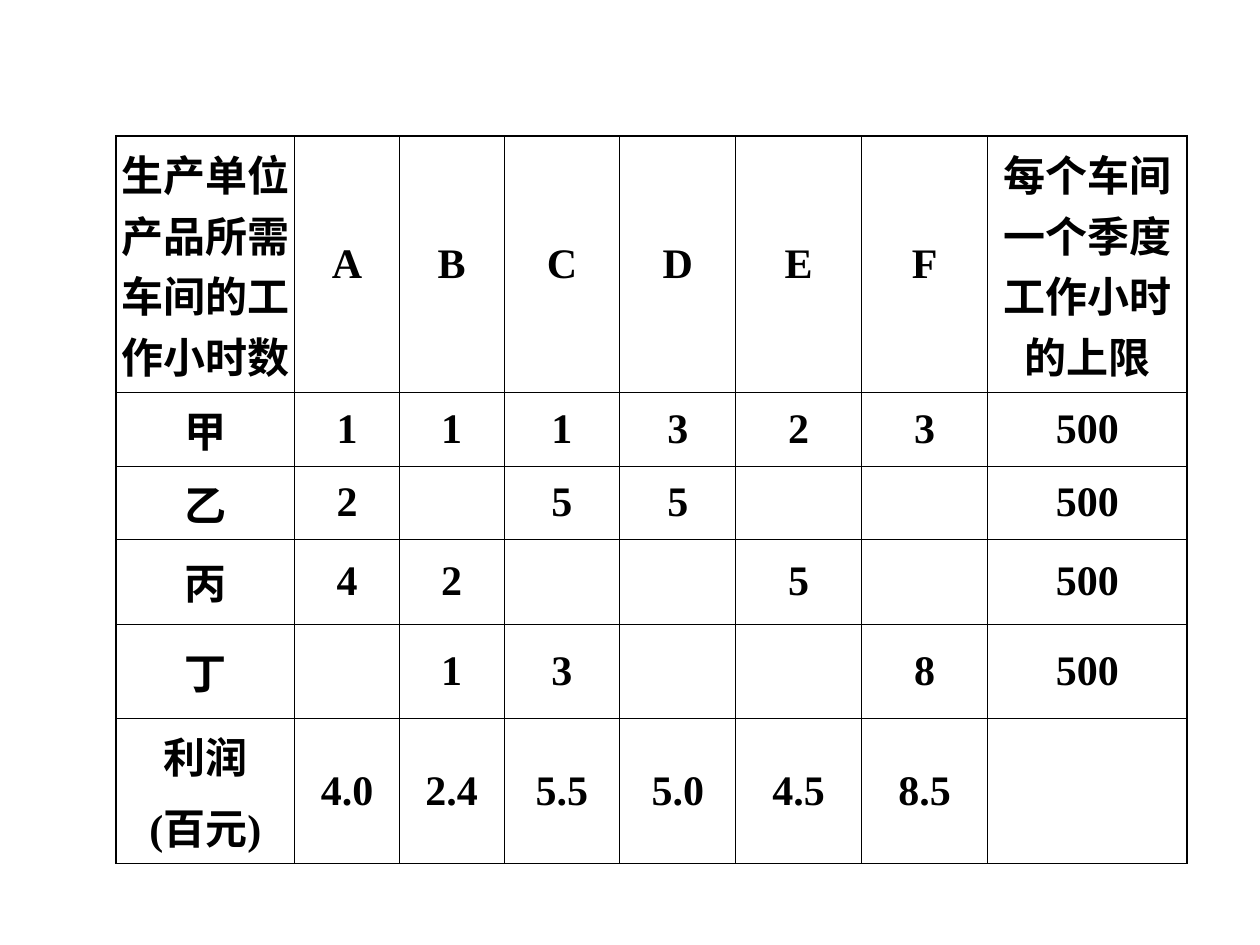
from lxml import etree
from pptx import Presentation
from pptx import util as u
from pptx.dml.color import RGBColor
from pptx.enum import text
from pptx.oxml import ns

BLACK = RGBColor(0, 0, 0)
INNER_LINE, OUTER_LINE = u.Pt(0.45), u.Pt(1.08)

COLUMN_WIDTHS = [1.42, 0.83, 0.83, 0.92, 0.92, 1, 1, 1.58]
ROW_HEIGHTS = [1.92, 0.55, 0.58, 0.67, 0.75, 1.03]
WORKSHOP_HOURS = [
    ["生产单位产品所需车间的工作小时数", *"ABCDEF", "每个车间一个季度工作小时的上限"],
    ["甲", "1", "1", "1", "3", "2", "3", "500"],
    ["乙", "2", "", "5", "5", "", "", "500"],
    ["丙", "4", "2", "", "", "5", "", "500"],
    ["丁", "", "1", "3", "", "", "8", "500"],
    ["利润\n(百元)", "4.0", "2.4", "5.5", "5.0", "4.5", "8.5", ""],
]


def write(frame, content, size=24, bold=True, color=BLACK, name="Times New Roman",
          align=text.PP_ALIGN.CENTER, gap=6):
    """Fill a text frame, one paragraph per line, with gap points between them."""
    frame.text = content
    for index, paragraph in enumerate(frame.paragraphs):
        paragraph.alignment = align
        if index:
            paragraph.space_before = u.Pt(gap)
        for run in paragraph.runs:
            run.font.size = u.Pt(size)
            run.font.bold = bold
            run.font.name = name
            run.font.color.rgb = color


def set_borders(cell, widths):
    """Draw cell borders; widths are in the order left, right, top, bottom."""
    properties = cell._tc.get_or_add_tcPr()
    for position, (side, width) in enumerate(zip("LRTB", widths)):
        line = etree.Element(ns.qn(f"a:ln{side}"), w=str(int(width)))
        fill = etree.SubElement(line, ns.qn("a:solidFill"))
        etree.SubElement(fill, ns.qn("a:srgbClr"), val=str(BLACK))
        properties.insert(position, line)


class SlideBuilder:
    def __init__(self, slide, side_margin=0.02, end_margin=0.05):
        self.slide = slide
        self.side_margin = u.Inches(side_margin)
        self.end_margin = u.Inches(end_margin)

    def table(self, left, top, widths, heights, rows):
        table = self.slide.shapes.add_table(
            len(heights), len(widths), u.Inches(left), u.Inches(top),
            u.Inches(sum(widths)), u.Inches(sum(heights))).table
        table.first_row = table.horz_banding = False
        for column, width in zip(table.columns, widths):
            column.width = u.Inches(width)
        for row, height in zip(table.rows, heights):
            row.height = u.Inches(height)
        last_row, last_column = len(heights) - 1, len(widths) - 1
        for r, row in enumerate(rows):
            for c, content in enumerate(row):
                on_edge = (c == 0, c == last_column, r == 0, r == last_row)
                self.cell(table.cell(r, c), content, on_edge)

    def cell(self, cell, content, on_edge):
        cell.margin_left = cell.margin_right = self.side_margin
        cell.margin_top = cell.margin_bottom = self.end_margin
        cell.vertical_anchor = text.MSO_ANCHOR.MIDDLE
        cell.fill.background()
        set_borders(cell, [OUTER_LINE if edge else INNER_LINE for edge in on_edge])
        write(cell.text_frame, content)


def main():
    deck = Presentation()
    deck.slide_width, deck.slide_height = u.Inches(10), u.Inches(7.5)
    builder = SlideBuilder(deck.slides.add_slide(deck.slide_layouts[6]))
    builder.table(0.92, 1.08, COLUMN_WIDTHS, ROW_HEIGHTS, WORKSHOP_HOURS)
    deck.save("out.pptx")


if __name__ == "__main__":
    main()
